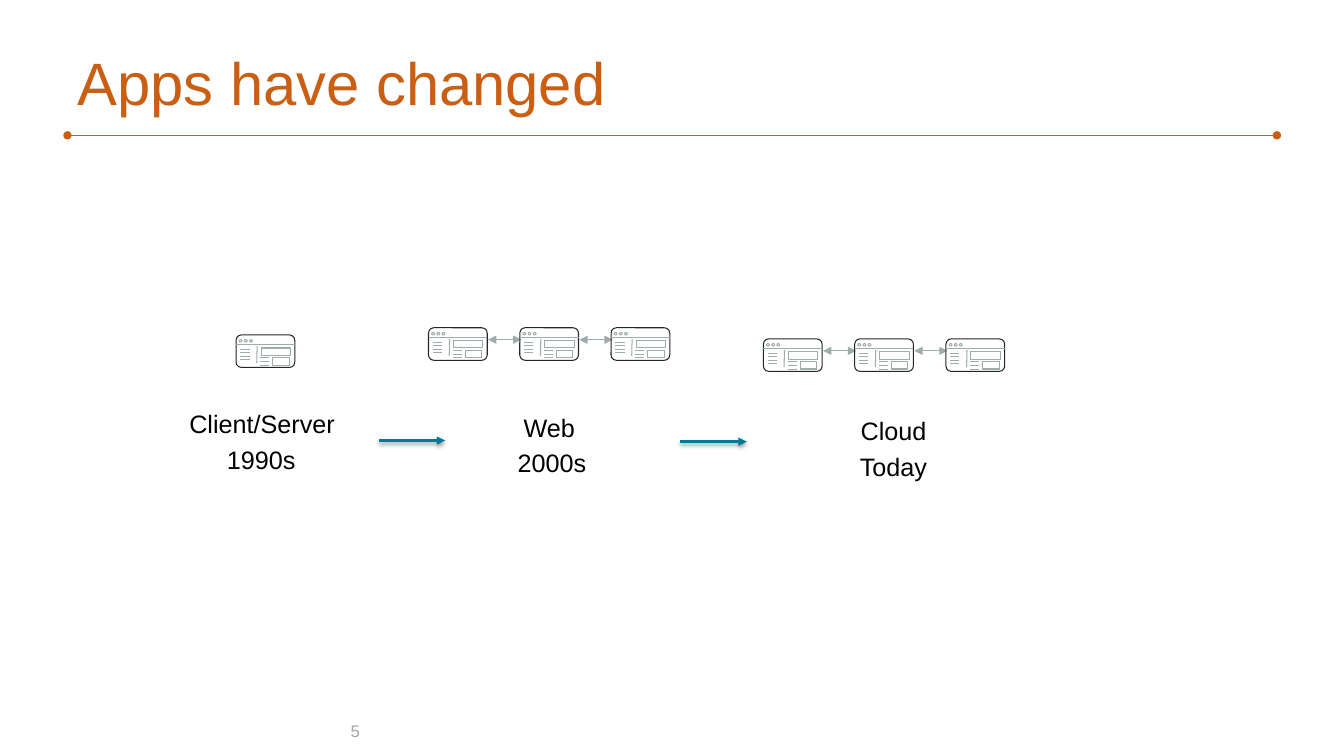
from lxml.etree import SubElement
from pptx import Presentation
from pptx.dml.color import RGBColor
from pptx.enum.shapes import MSO_CONNECTOR, MSO_SHAPE
from pptx.enum.text import MSO_ANCHOR as Anchor, PP_ALIGN as Align
from pptx.oxml.ns import qn
from pptx.util import Cm, Pt

COLORS = {
    "accent": "CA5F14",
    "number": "A5A5A5",
    "detail": "9EACAB",
    "frame": "262626",
    "dot": "F8F9F7",
    "step": "007A97",
    "text": "000000",
}
WINDOW_WIDTH, WINDOW_HEIGHT = 1.48, 0.82
WINDOW_PITCH = 2.3


def rgb(name):
    return RGBColor.from_string(COLORS[name])


def add_text(slide, box, text, size=18, color="text", align=Align.LEFT,
             anchor=Anchor.TOP, insets=(0.13, 0.13)):
    """Insets are the horizontal and the vertical margin in centimetres."""
    shape = slide.shapes.add_textbox(*map(Cm, box))
    frame = shape.text_frame
    frame.word_wrap = True
    frame.vertical_anchor = anchor
    frame.margin_left = frame.margin_right = Cm(insets[0])
    frame.margin_top = frame.margin_bottom = Cm(insets[1])
    paragraph = frame.paragraphs[0]
    paragraph.alignment = align
    run = paragraph.add_run()
    run.text = text
    run.font.name = "Arial"
    run.font.size = Pt(size)
    run.font.color.rgb = rgb(color)


def add_line(shapes, start, end, color="detail", width=0.75, head=None, tail=None):
    """Draw a straight line and return its empty effect list."""
    line = shapes.add_connector(MSO_CONNECTOR.STRAIGHT, *map(Cm, (*start, *end)))
    line.line.color.rgb = rgb(color)
    line.line.width = Pt(width)
    properties = line.element.spPr
    outline = properties.find(qn("a:ln"))
    for tag, kind in (("a:headEnd", head), ("a:tailEnd", tail)):
        if kind:
            SubElement(outline, qn(tag), type=kind)
    return SubElement(properties, qn("a:effectLst"))


def add_outline(shapes, kind, box, color="detail", fill=None):
    shape = shapes.add_shape(kind, *map(Cm, box))
    shape.shadow.inherit = False
    shape.line.color.rgb = rgb(color)
    shape.line.width = Pt(0.75)
    if fill:
        shape.fill.solid()
        shape.fill.fore_color.rgb = rgb(fill)
    else:
        shape.fill.background()
    return shape


def add_window(slide, left, top):
    """Draw one application window as a group."""
    shapes = slide.shapes.add_group_shape().shapes

    def rule(x1, y1, x2, y2):
        add_line(shapes, (left + x1, top + y1), (left + x2, top + y2))

    frame = add_outline(shapes, MSO_SHAPE.ROUNDED_RECTANGLE,
                        (left, top, WINDOW_WIDTH, WINDOW_HEIGHT), "frame")
    frame.adjustments[0] = 0.167
    rule(0, 0.25, WINDOW_WIDTH, 0.25)
    rule(0.53, 0.28, 0.52, 0.71)
    for x, y, width in ((0.63, 0.33, 0.74), (0.93, 0.58, 0.41)):
        add_outline(shapes, MSO_SHAPE.RECTANGLE, (left + x, top + y, width, 0.18))
    for row in range(4):
        y = 0.36 + row * 0.09
        rule(0.11, y, 0.34, y)
    for row in range(3):
        y = 0.58 + row * 0.09
        rule(0.61, y, 0.84, y)
    for column in range(3):
        add_outline(shapes, MSO_SHAPE.OVAL,
                    (left + 0.08 + column * 0.13, top + 0.12, 0.07, 0.06), fill="dot")


def add_window_row(slide, left, top, count):
    """Draw windows at equal pitch with double arrows between neighbours."""
    lefts = [left + index * WINDOW_PITCH for index in range(count)]
    for x in lefts[:-1]:
        add_line(slide.shapes, (x + 1.5, top + 0.3), (x + 2.34, top + 0.3),
                 head="triangle", tail="triangle")
    for x in lefts:
        add_window(slide, x, top)


def add_step_arrow(slide, left, top):
    effects = add_line(slide.shapes, (left, top), (left + 1.67, top),
                       "step", 2, tail="triangle")
    shadow = SubElement(effects, qn("a:outerShdw"), blurRad=str(Pt(3)),
                        dist=str(Pt(1.6)), dir="5400000", rotWithShape="0")
    black = SubElement(shadow, qn("a:srgbClr"), val=COLORS["text"])
    SubElement(black, qn("a:alpha"), val="38000")


def main():
    presentation = Presentation()
    presentation.slide_width, presentation.slide_height = Cm(33.87), Cm(19.05)
    slide = presentation.slides.add_slide(presentation.slide_layouts[6])

    add_line(slide.shapes, (1.7, 3.41), (32.18, 3.41), "accent", 1, "oval", "oval")
    add_text(slide, (1.7, 0.76, 30.48, 2.57), "Apps have changed", 42.7, "accent",
             anchor=Anchor.MIDDLE, insets=(0.25, 0.13))
    add_text(slide, (7.82, 17.91, 1.5, 1.02), "5", 12, "number", Align.RIGHT,
             Anchor.MIDDLE, (0.25, 0.13))

    for left, top, count in ((5.95, 8.44, 1), (10.8, 8.26, 3), (19.24, 8.54, 3)):
        add_window_row(slide, left, top, count)

    labels = (
        ("Client/Server ", (4.55, 10.16, 4.29, 0.66), Align.CENTER),
        ("1990s", (5.59, 11.07, 3, 0.76), Align.LEFT),
        ("Web", (12.7, 10.26, 2.29, 0.89), Align.CENTER),
        ("2000s", (12.5, 11.15, 2.82, 0.58), Align.CENTER),
        ("Cloud", (21.56, 10.34, 2.18, 0.84), Align.LEFT),
        ("Today", (21.54, 11.25, 2.21, 0.76), Align.LEFT),
    )
    for text, box, align in labels:
        add_text(slide, box, text, align=align)

    add_step_arrow(slide, 9.55, 11.1)
    add_step_arrow(slide, 17.15, 11.13)
    presentation.save("out.pptx")


if __name__ == "__main__":
    main()
